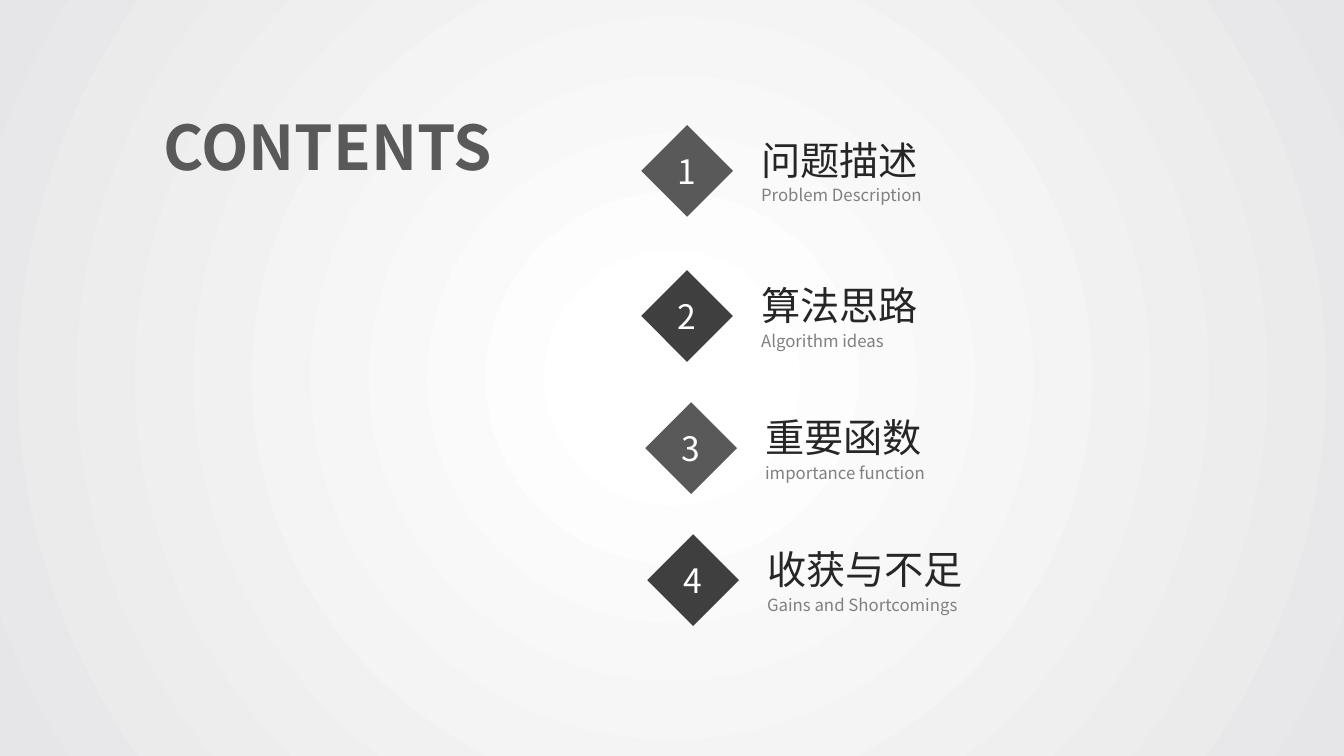
from lxml.etree import SubElement
from pptx import Presentation
from pptx.dml.color import RGBColor
from pptx.enum.shapes import MSO_SHAPE as Shape
from pptx.enum.text import MSO_ANCHOR as Anchor, MSO_AUTO_SIZE as AutoSize, PP_ALIGN as Align
from pptx.oxml.ns import qn
from pptx.util import Inches, Pt

FONT = "Noto Sans CJK SC"
GREY, DARK = "595959", "3F3F3F"


def color(value):
    return RGBColor.from_string(value)


def write(frame, text, size, ink, bold=False, align=None, spacing=None):
    para = frame.paragraphs[0]
    para.alignment = align
    para.line_spacing = spacing
    span = para.add_run()
    span.text = text
    font = span.font
    font.size, font.bold, font.name = Pt(size), bold, FONT
    font.color.rgb = color(ink)
    # East Asian characters need their own typeface entry
    SubElement(font._element, qn("a:ea"), typeface=FONT)


class ContentsPage:
    def __init__(self, page):
        self.page = page

    def background(self, inner, outer, inner_stop):
        fill = self.page.background.fill
        fill.gradient()
        first, last = fill.gradient_stops
        first.position, first.color.rgb = inner_stop, color(inner)
        last.position, last.color.rgb = 1, color(outer)
        # Turn the linear gradient into a circular one
        gradient = self.page.element.find(".//" + qn("a:gradFill"))
        gradient.remove(gradient.find(qn("a:lin")))
        circle = SubElement(gradient, qn("a:path"), path="circle")
        SubElement(circle, qn("a:fillToRect"), l="50000", t="50000", r="50000", b="50000")

    def text(self, owner, left, top, width, height, text, **style):
        box = owner.shapes.add_textbox(*map(Inches, (left, top, width, height)))
        box.text_frame.word_wrap = True
        box.text_frame.auto_size = AutoSize.SHAPE_TO_FIT_TEXT
        write(box.text_frame, text, **style)

    def diamond(self, owner, left, top, side, fill, text):
        shape = owner.shapes.add_shape(Shape.DIAMOND, *map(Inches, (left, top, side, side)))
        shape.shadow.inherit = False
        shape.fill.solid()
        shape.fill.fore_color.rgb = color(fill)
        shape.line.fill.background()
        shape.text_frame.vertical_anchor = Anchor.MIDDLE
        write(shape.text_frame, text, size=24, ink="FFFFFF", align=Align.CENTER)

    def entry(self, number, left, top, title, subtitle):
        group = self.page.shapes.add_group_shape()
        self.diamond(group, left, top, 0.91, GREY if number % 2 else DARK, str(number))
        self.text(group, left + 1.09, top + 0.06, 2.62, 0.57, title,
                  size=28, ink="262626", align=Align.JUSTIFY)
        self.text(group, left + 1.09, top + 0.52, 3.78, 0.31, subtitle,
                  size=12, ink="808080", spacing=1.14)


def main():
    deck = Presentation()
    deck.slide_width, deck.slide_height = Inches(13.33), Inches(7.5)
    contents = ContentsPage(deck.slides.add_slide(deck.slide_layouts[6]))
    contents.background("FFFFFF", "E6E6E8", 0.09)

    # Numbered entries
    entries = [
        (6.36, 1.24, "问题描述", "Problem Description"),
        (6.36, 2.68, "算法思路", "Algorithm ideas"),
        (6.4, 3.99, "重要函数", "importance function"),
        (6.42, 5.3, "收获与不足", "Gains and Shortcomings"),
    ]
    for number, item in enumerate(entries, 1):
        contents.entry(number, *item)

    # Heading
    contents.text(contents.page, 1.52, 1.03, 3.67, 0.84, "CONTENTS",
                  size=44, ink=GREY, bold=True)
    deck.save("out.pptx")


if __name__ == "__main__":
    main()
